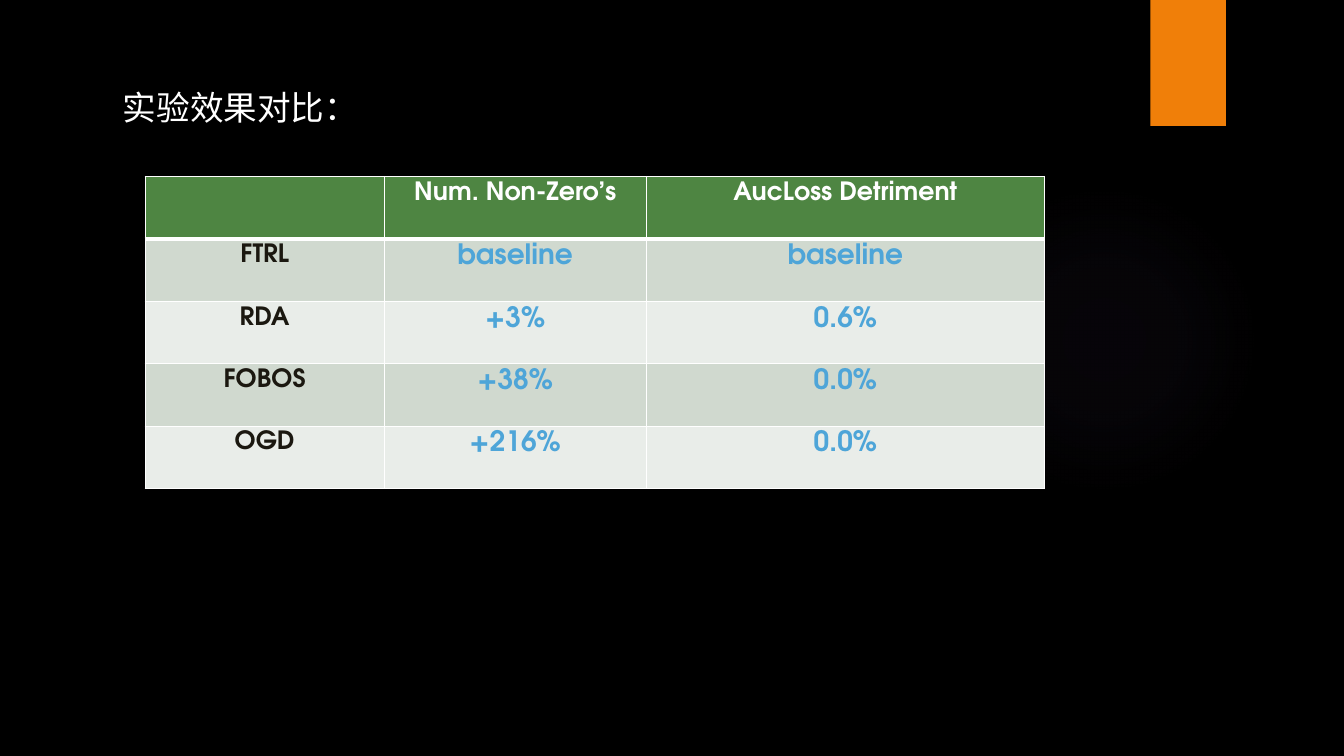
import pptx
import pptx.util
import pptx.dml.color
import pptx.enum.shapes
import pptx.enum.text
import pptx.oxml
import pptx.oxml.ns

Inches = pptx.util.Inches
SPACE = pptx.oxml.ns.nsdecls("a")
LATIN = "TeX Gyre Adventor"
HAN = "Noto Sans CJK SC"
ROWS = [
    ["", "Num. Non-Zero’s", "AucLoss Detriment"],
    ["FTRL", "baseline", "baseline"],
    ["RDA", "+3%", "0.6%"],
    ["FOBOS", "+38%", "0.0%"],
    ["OGD", "+216%", "0.0%"],
]
WIDTHS = [2.37, 2.6, 3.95]


def color(hue):
    return pptx.dml.color.RGBColor.from_string(hue)


def paint(fill, hue):
    fill.solid()
    fill.fore_color.rgb = color(hue)


def write(para, text, size, hue, face, bold=False):
    run = para.add_run()
    run.text = text
    run.font.size = pptx.util.Pt(size)
    run.font.bold = bold
    run.font.name = face
    run.font.color.rgb = color(hue)
    run._r.get_or_add_rPr().find(pptx.oxml.ns.qn("a:latin")).addnext(
        pptx.oxml.parse_xml(f'<a:ea {SPACE} typeface="{face}"/>'))


def add_plain(slide, kind, box):
    shape = slide.shapes.add_shape(kind, *map(Inches, box))
    shape.shadow.inherit = False
    shape.line.fill.background()
    return shape


def add_glow(slide, box):
    glow = add_plain(slide, pptx.enum.shapes.MSO_SHAPE.OVAL, box)
    stops = "".join(
        f'<a:gs pos="{place * 1000}"><a:srgbClr val="604878">'
        f'<a:alpha val="{alpha * 1000}"/></a:srgbClr></a:gs>'
        for place, alpha in [(0, 7), (36, 6), (69, 0), (100, 0)])
    glow._element.spPr.find(pptx.oxml.ns.qn("a:prstGeom")).addnext(
        pptx.oxml.parse_xml(
            f'<a:gradFill {SPACE}><a:gsLst>{stops}</a:gsLst><a:path path="circle">'
            '<a:fillToRect l="50000" t="50000" r="50000" b="50000"/>'
            '</a:path></a:gradFill>'))


def add_tab(slide, box):
    tab = add_plain(slide, pptx.enum.shapes.MSO_SHAPE.RECTANGLE, box)
    paint(tab.fill, "F07F09")


def add_title(slide, box):
    frame = slide.shapes.add_textbox(*map(Inches, box)).text_frame
    frame.word_wrap = True
    write(frame.paragraphs[0], "实验效果对比：", 24, "FFFFFF", HAN)


def edge_cell(cell, row):
    props = cell._tc.get_or_add_tcPr()
    sides = {"L": 1, "R": 1, "T": 3 if row == 1 else 1, "B": 3 if row == 0 else 1}
    for spot, (side, width) in enumerate(sides.items()):
        props.insert(spot, pptx.oxml.parse_xml(
            f'<a:ln{side} {SPACE} w="{width * 12700}"><a:solidFill>'
            f'<a:srgbClr val="FFFFFF"/></a:solidFill></a:ln{side}>'))


def fill_cell(cell, text, row, col):
    cell.margin_top = cell.margin_bottom = Inches(0.05)
    cell.vertical_anchor = pptx.enum.text.MSO_ANCHOR.TOP
    if row == 0:
        back, ink, size = "4E8542", "FFFFFF", 18
    else:
        back = "D0D9CF" if row % 2 else "E9EDE9"
        ink, size = ("4EA5D8", 20) if col else ("1B1810", 18)
    paint(cell.fill, back)
    edge_cell(cell, row)
    if text:
        para = cell.text_frame.paragraphs[0]
        para.alignment = pptx.enum.text.PP_ALIGN.CENTER
        write(para, text, size, ink, LATIN, True)


def add_scores(slide, box):
    table = slide.shapes.add_table(
        len(ROWS), len(WIDTHS), *map(Inches, box)).table
    for col, width in zip(table.columns, WIDTHS):
        col.width = Inches(width)
    for row, texts in enumerate(ROWS):
        table.rows[row].height = Inches(box[3] / len(ROWS))
        for col, text in enumerate(texts):
            fill_cell(table.cell(row, col), text, row, col)


def main():
    deck = pptx.Presentation()
    deck.slide_width = Inches(13.33)
    deck.slide_height = Inches(7.5)
    slide = deck.slides.add_slide(deck.slide_layouts[6])
    paint(slide.background.fill, "000000")
    add_glow(slide, (9.41, 1.83, 3.08, 3.08))
    add_tab(slide, (11.41, 0, 0.75, 1.25))
    add_scores(slide, (1.44, 1.75, sum(WIDTHS), 3.1))
    add_title(slide, (1.12, 0.81, 2.81, 0.5))
    deck.save("out.pptx")


if __name__ == "__main__":
    main()
